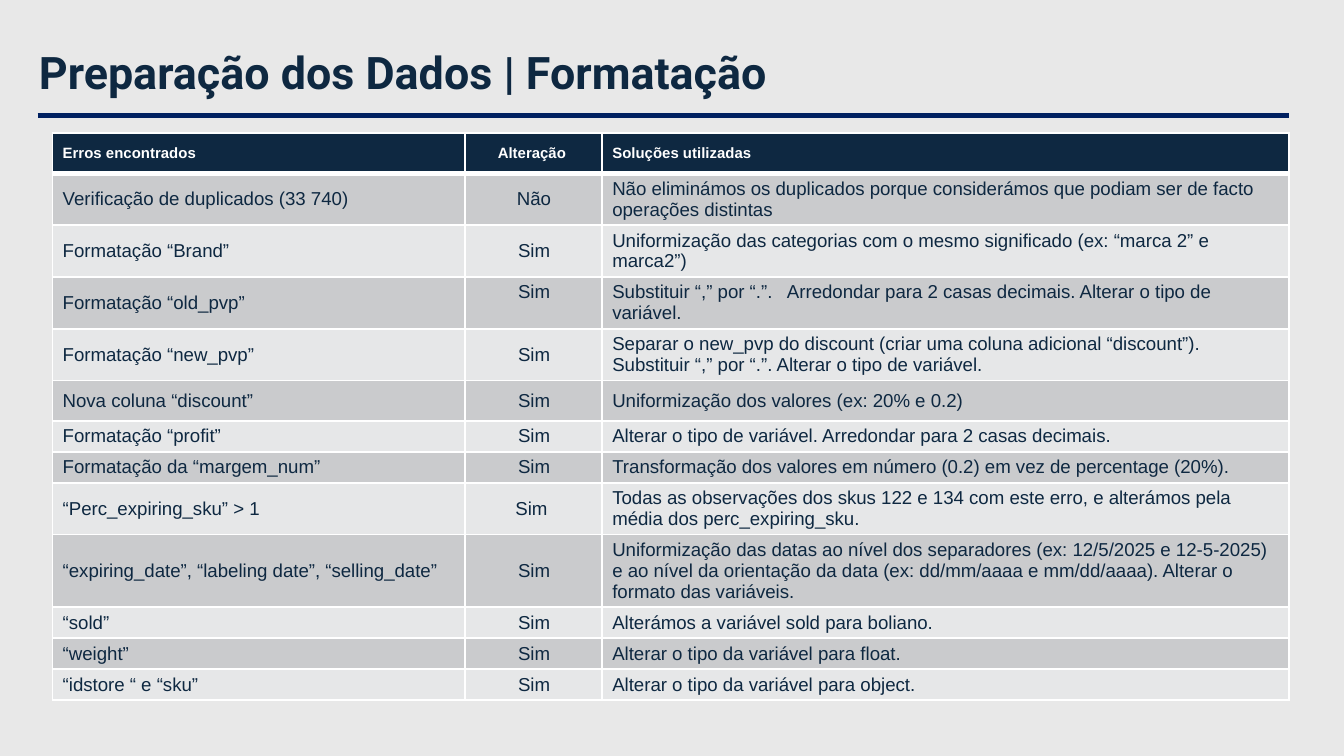
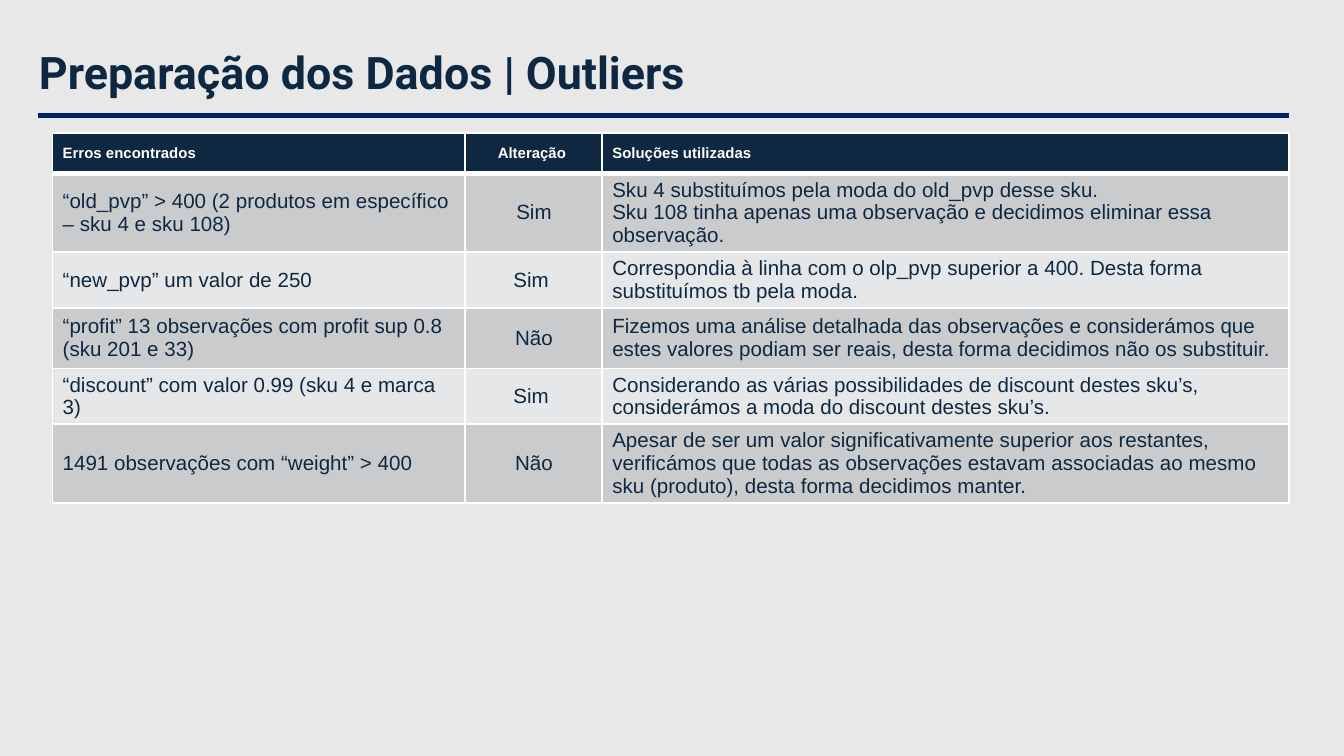
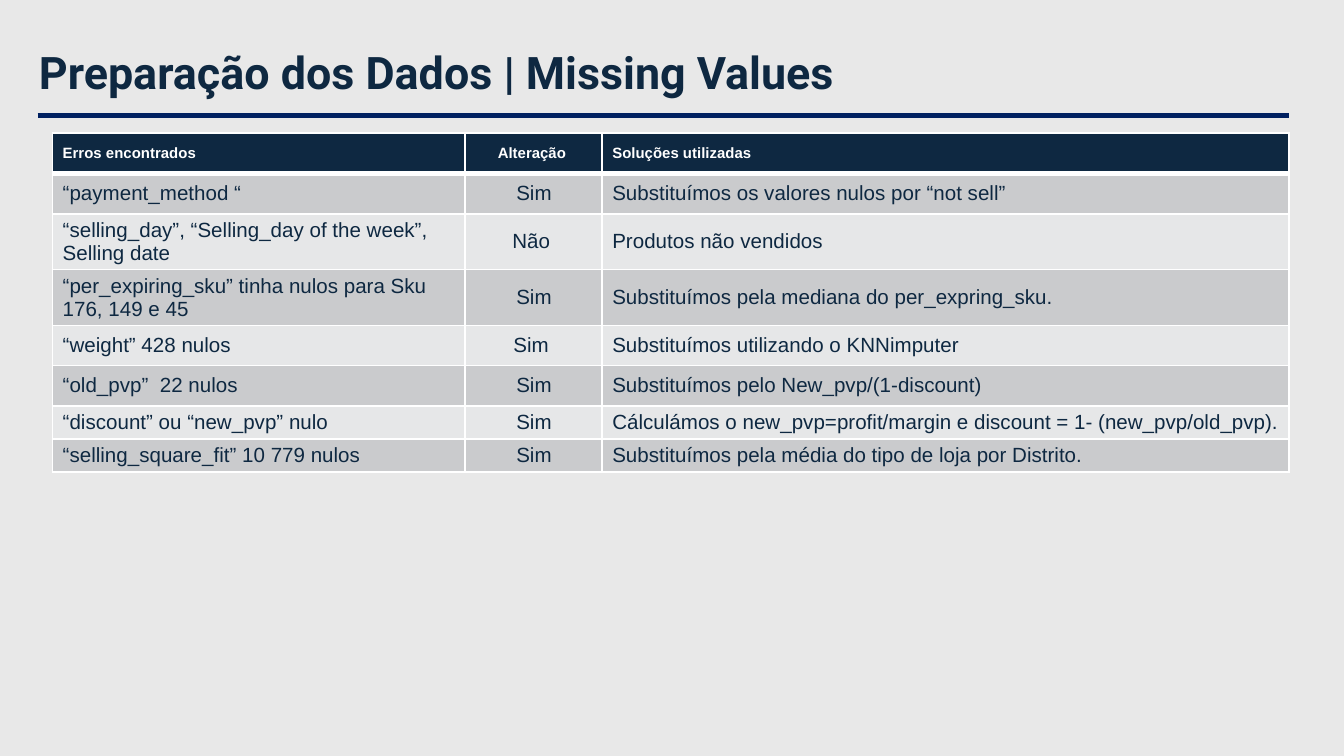
from lxml import etree
from pptx import Presentation
from pptx.dml.color import RGBColor
from pptx.enum.shapes import MSO_CONNECTOR
from pptx.enum.text import MSO_ANCHOR, MSO_AUTO_SIZE, PP_ALIGN
from pptx.oxml.ns import qn
from pptx.util import Inches, Pt

NAVY = RGBColor(0x0E, 0x28, 0x41)
RULE_BLUE = RGBColor(0x00, 0x20, 0x60)
WHITE = RGBColor(0xFF, 0xFF, 0xFF)
PAPER = RGBColor(0xE8, 0xE8, 0xE8)
BANDS = (RGBColor(0xCA, 0xCB, 0xCD), RGBColor(0xE6, 0xE7, 0xE8))
LEFT, CENTER = PP_ALIGN.LEFT, PP_ALIGN.CENTER
TOP, MIDDLE = MSO_ANCHOR.TOP, MSO_ANCHOR.MIDDLE
STRAIGHT = MSO_CONNECTOR.STRAIGHT
NO_AUTOFIT = MSO_AUTO_SIZE.NONE

TITLE_FONT, TABLE_FONT = "Roboto", "Arial"
TITLE_BOX = (0.22, 0.25, 9.09, 0.61)
RULE_ENDS = (0.28, 9.59)
TABLE_LEFT, TABLE_TOP = 0.39, 0.99
COLUMN_WIDTHS = (3.07, 1.02, 5.11)
COLUMN_ALIGNS = (LEFT, CENTER, LEFT)
HEADER = ("Erros encontrados", "Alteração ", "Soluções utilizadas")
TALL, SHORT = 0.3, 0.17

FORMAT_ROWS = [
    ("Verificação de duplicados (33 740)", "Não",
     "Não eliminámos os duplicados porque considerámos que podiam ser de facto operações distintas"),
    ("Formatação “Brand”", "Sim",
     "Uniformização das categorias com o mesmo significado (ex: “marca 2” e marca2”)"),
    ("Formatação “old_pvp”", "Sim",
     "Substituir “,” por “.”.   Arredondar para 2 casas decimais. Alterar o tipo de variável."),
    ("Formatação “new_pvp”", "Sim",
     "Separar o new_pvp do discount (criar uma coluna adicional “discount”). "
     "Substituir “,” por “.”. Alterar o tipo de variável."),
    ("Nova coluna “discount”", "Sim", "Uniformização dos valores (ex: 20% e 0.2)"),
    ("Formatação “profit”", "Sim",
     "Alterar o tipo de variável. Arredondar para 2 casas decimais."),
    ("Formatação da “margem_num”", "Sim",
     "Transformação dos valores em número (0.2) em vez de percentage (20%)."),
    ("“Perc_expiring_sku” > 1", "Sim ",
     "Todas as observações dos skus 122 e 134 com este erro, e alterámos pela "
     "média dos perc_expiring_sku."),
    ("“expiring_date”, “labeling date”, “selling_date”", "Sim",
     "Uniformização das datas ao nível dos separadores (ex: 12/5/2025 e 12-5-2025) "
     "e ao nível da orientação da data (ex: dd/mm/aaaa e mm/dd/aaaa). "
     "Alterar o formato das variáveis."),
    ("“sold”", "Sim", "Alterámos a variável sold para boliano."),
    ("“weight”", "Sim", "Alterar o tipo da variável para float."),
    ("“idstore “ e “sku”", "Sim", "Alterar o tipo da variável para object."),
]
OUTLIER_ROWS = [
    ("“old_pvp” > 400 (2 produtos em específico – sku 4 e sku 108)", "Sim",
     "Sku 4 substituímos pela moda do old_pvp desse sku.\n"
     "Sku 108 tinha apenas uma observação e decidimos eliminar essa observação."),
    ("“new_pvp” um valor de 250", "Sim ",
     "Correspondia à linha com o olp_pvp superior a 400. Desta forma substituímos tb pela moda."),
    ("“profit” 13 observações com profit sup 0.8 (sku 201 e 33)", "Não",
     "Fizemos uma análise detalhada das observações e considerámos que estes valores "
     "podiam ser reais, desta forma decidimos não os substituir."),
    ("“discount” com valor 0.99 (sku 4 e marca 3)", "Sim ",
     "Considerando as várias possibilidades de discount destes sku’s, "
     "considerámos a moda do discount destes sku’s."),
    ("1491 observações com “weight” > 400", "Não",
     "Apesar de ser um valor significativamente superior aos restantes, verificámos que todas "
     "as observações estavam associadas ao mesmo sku (produto), desta forma decidimos manter."),
]
MISSING_ROWS = [
    ("“payment_method “", "Sim", "Substituímos os valores nulos por “not sell”"),
    ("“selling_day”, “Selling_day of the week”, Selling date", "Não ", "Produtos não vendidos"),
    ("“per_expiring_sku” tinha nulos para Sku 176, 149 e 45", "Sim",
     "Substituímos pela mediana do per_expring_sku."),
    ("“weight” 428 nulos", "Sim ", "Substituímos utilizando o KNNimputer"),
    ("“old_pvp”  22 nulos", "Sim", "Substituímos pelo New_pvp/(1-discount)"),
    ("“discount” ou “new_pvp” nulo", "Sim",
     "Cálculámos o new_pvp=profit/margin e discount = 1- (new_pvp/old_pvp)."),
    ("“selling_square_fit” 10 779 nulos", "Sim",
     "Substituímos pela média do tipo de loja por Distrito."),
]


def add_run(p, text, font, size, color, bold):
    """Add one formatted run to a paragraph."""
    r = p.add_run()
    r.text = text
    r.font.name, r.font.size, r.font.bold = font, Pt(size), bold
    r.font.color.rgb = color


def add_title(s, topic, box):
    """Place the slide title in its box, with the rule along the box's bottom."""
    left, top, width, height = box
    title = s.shapes.title
    title.left, title.top, title.width, title.height = map(Inches, box)
    tf = title.text_frame
    tf.auto_size, tf.vertical_anchor, tf.word_wrap = NO_AUTOFIT, MIDDLE, True
    tf.margin_left = tf.margin_right = Inches(0.07)
    tf.margin_top = tf.margin_bottom = Inches(0.04)
    p = tf.paragraphs[0]
    p.alignment, p.line_spacing = LEFT, 0.9
    add_run(p, f"Preparação dos Dados | {topic}", TITLE_FONT, 24, NAVY, True)

    y = Inches(top + height)
    rule = s.shapes.add_connector(STRAIGHT, Inches(RULE_ENDS[0]), y, Inches(RULE_ENDS[1]), y)
    rule.line.color.rgb, rule.line.width = RULE_BLUE, Pt(2.25)
    etree.SubElement(rule.element.spPr, qn("a:effectLst"))


def set_borders(cell, top, bottom):
    """Give a cell white borders, with the top and bottom widths in points."""
    tcPr = cell._tc.get_or_add_tcPr()
    widths = {"a:lnL": 1, "a:lnR": 1, "a:lnT": top, "a:lnB": bottom}
    for i, (tag, width) in enumerate(widths.items()):
        ln = etree.Element(qn(tag), w=str(Pt(width)))
        fill = etree.SubElement(ln, qn("a:solidFill"))
        etree.SubElement(fill, qn("a:srgbClr"), val=str(WHITE))
        tcPr.insert(i, ln)


def fill_cell(cell, text, row, align, body_size):
    """Write and style one cell as header or banded body."""
    is_header = row == 0
    cell.fill.solid()
    cell.fill.fore_color.rgb = NAVY if is_header else BANDS[(row - 1) % 2]
    set_borders(cell, 3 if row == 1 else 1, 3 if is_header else 1)
    cell.vertical_anchor = MIDDLE
    cell.margin_left, cell.margin_right = Pt(5.5), Pt(5)
    cell.margin_top = cell.margin_bottom = Pt(2.7)
    tf = cell.text_frame
    for i, line in enumerate(text.split("\n")):
        p = tf.paragraphs[0] if i == 0 else tf.add_paragraph()
        p.alignment = align
        add_run(p, line, TABLE_FONT, 8 if is_header else body_size,
                WHITE if is_header else NAVY, is_header)


def add_error_table(s, left, top, height, body, row_heights, body_size):
    """Add the table of errors, changes and solutions."""
    rows = [HEADER, *body]
    frame = s.shapes.add_table(len(rows), len(HEADER), Inches(left), Inches(top),
                               Inches(sum(COLUMN_WIDTHS)), Inches(height))
    table = frame.table
    table.horz_banding = False
    for column, width in zip(table.columns, COLUMN_WIDTHS):
        column.width = Inches(width)
    for i, (texts, row_height) in enumerate(zip(rows, row_heights)):
        table.rows[i].height = Inches(row_height)
        for j, (text, align) in enumerate(zip(texts, COLUMN_ALIGNS)):
            fill_cell(table.cell(i, j), text, i, align, body_size)
    frame.height = Inches(height)
    return table


def add_preparation_slide(prs, topic, body, height, row_heights, body_size):
    """Add one data preparation slide and return its table."""
    s = prs.slides.add_slide(prs.slide_layouts[5])
    add_title(s, topic, TITLE_BOX)
    return add_error_table(s, TABLE_LEFT, TABLE_TOP, height, body, row_heights, body_size)


def main():
    """Build and save the presentation."""
    prs = Presentation()
    prs.slide_width = Inches(10)
    prs.slide_height = prs.slide_width * 9 // 16
    background = prs.slide_master.background.fill
    background.solid()
    background.fore_color.rgb = PAPER

    formats = add_preparation_slide(prs, "Formatação", FORMAT_ROWS, 4.33,
                                    [TALL] * 6 + [SHORT] * 4 + [0.11] + [SHORT] * 2, 10)
    formats.cell(3, 1).vertical_anchor = TOP
    add_preparation_slide(prs, "Outliers", OUTLIER_ROWS, 2.88,
                          [TALL] * 3 + [0.45] + [TALL] * 2, 11)
    add_preparation_slide(prs, "Missing Values", MISSING_ROWS, 2.62,
                          [TALL] * 6 + [SHORT] * 2, 11)
    prs.save("out.pptx")


if __name__ == "__main__":
    main()
